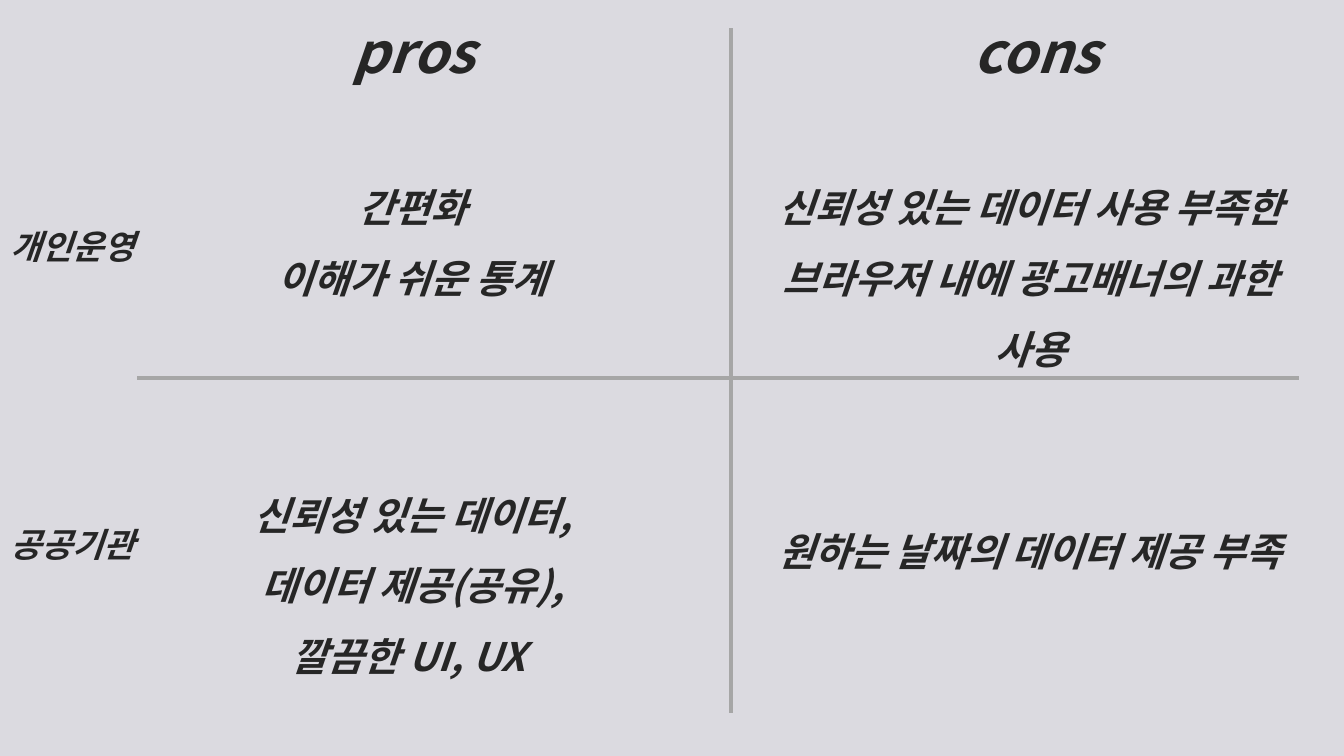
from dataclasses import dataclass

from lxml import etree
from pptx import Presentation
from pptx.dml.color import RGBColor
from pptx.enum.shapes import MSO_CONNECTOR
from pptx.enum.text import MSO_AUTO_SIZE, PP_ALIGN
from pptx.oxml.ns import qn
from pptx.util import Inches, Pt

STRAIGHT = MSO_CONNECTOR.STRAIGHT
GROW = MSO_AUTO_SIZE.SHAPE_TO_FIT_TEXT
CENTER = PP_ALIGN.CENTER


@dataclass(frozen=True)
class Theme:
    background: RGBColor = RGBColor(0xDB, 0xDA, 0xE0)
    rule: RGBColor = RGBColor(0xA6, 0xA6, 0xA6)
    ink: RGBColor = RGBColor(0x26, 0x26, 0x26)
    font: str = "Noto Sans CJK KR"
    heading_size: int = 40
    body_size: int = 28
    label_size: int = 24
    rule_width: int = 3
    line_spacing: float = 1.5


THEME = Theme()

# Boxes are left, top, width, height in inches
LABEL_WIDTH = 2.64
COLUMN_HEADINGS = [("pros", 2.78), ("cons", 8.96)]
ROW_LABELS = [("개인운영", 1.99), ("공공기관", 4.95)]
CELLS = [
    (["간편화", "이해가 쉬운 통계"], (1.76, 1.54, 4.67, 1.5)),
    (["신뢰성 있는 데이터 사용 부족한 브라우저 내에 광고배너의 과한 사용"],
     (7.35, 1.54, 5.74, 2.2)),
    (["신뢰성 있는 데이터,", "데이터 제공(공유),", "깔끔한 UI, UX "],
     (1.76, 4.59, 4.67, 2.2)),
    (["원하는 날짜의 데이터 제공 부족"], (7.24, 4.95, 5.95, 1.5)),
]


def add_text(slide, lines, box, size):
    """Centred bold italic text, one paragraph per line."""
    frame = slide.shapes.add_textbox(*map(Inches, box)).text_frame
    frame.word_wrap = True
    frame.auto_size = GROW
    font_format = {"name": THEME.font, "size": Pt(size), "bold": True, "italic": True}
    for index, line in enumerate(lines):
        paragraph = frame.add_paragraph() if index else frame.paragraphs[0]
        paragraph.alignment = CENTER
        paragraph.line_spacing = THEME.line_spacing
        run = paragraph.add_run()
        run.text = line
        for name, value in font_format.items():
            setattr(run.font, name, value)
        run.font.color.rgb = THEME.ink
        # Korean letters take the East Asian typeface
        properties = run._r.get_or_add_rPr()
        etree.SubElement(properties, qn("a:ea"), typeface=THEME.font)


def add_cross(slide, box, center):
    """Two rules that span the box and meet at the center."""
    left, top, width, height = box
    x, y = center
    for ends in [(x, top, x, top + height), (left, y, left + width, y)]:
        rule = slide.shapes.add_connector(STRAIGHT, *map(Inches, ends))
        rule.line.color.rgb = THEME.rule
        rule.line.width = Pt(THEME.rule_width)
        etree.SubElement(rule._element.spPr, qn("a:effectLst"))


def add_headings(slide, top):
    for heading, left in COLUMN_HEADINGS:
        add_text(slide, [heading], (left, top, LABEL_WIDTH, 1.11), THEME.heading_size)


def add_row_labels(slide, left):
    for label, top in ROW_LABELS:
        add_text(slide, [label], (left, top, LABEL_WIDTH, 0.7), THEME.label_size)


def add_cells(slide):
    for lines, box in CELLS:
        add_text(slide, lines, box, THEME.body_size)


def main():
    presentation = Presentation()
    presentation.slide_width = Inches(13.33)
    presentation.slide_height = Inches(7.5)
    slide = presentation.slides.add_slide(presentation.slide_layouts[6])
    fill = slide.background.fill
    fill.solid()
    fill.fore_color.rgb = THEME.background

    add_cross(slide, box=(1.36, 0.28, 11.52, 6.79), center=(7.25, 3.75))
    add_headings(slide, top=-0.21)
    add_row_labels(slide, left=-0.6)
    add_cells(slide)
    presentation.save("out.pptx")


if __name__ == "__main__":
    main()
